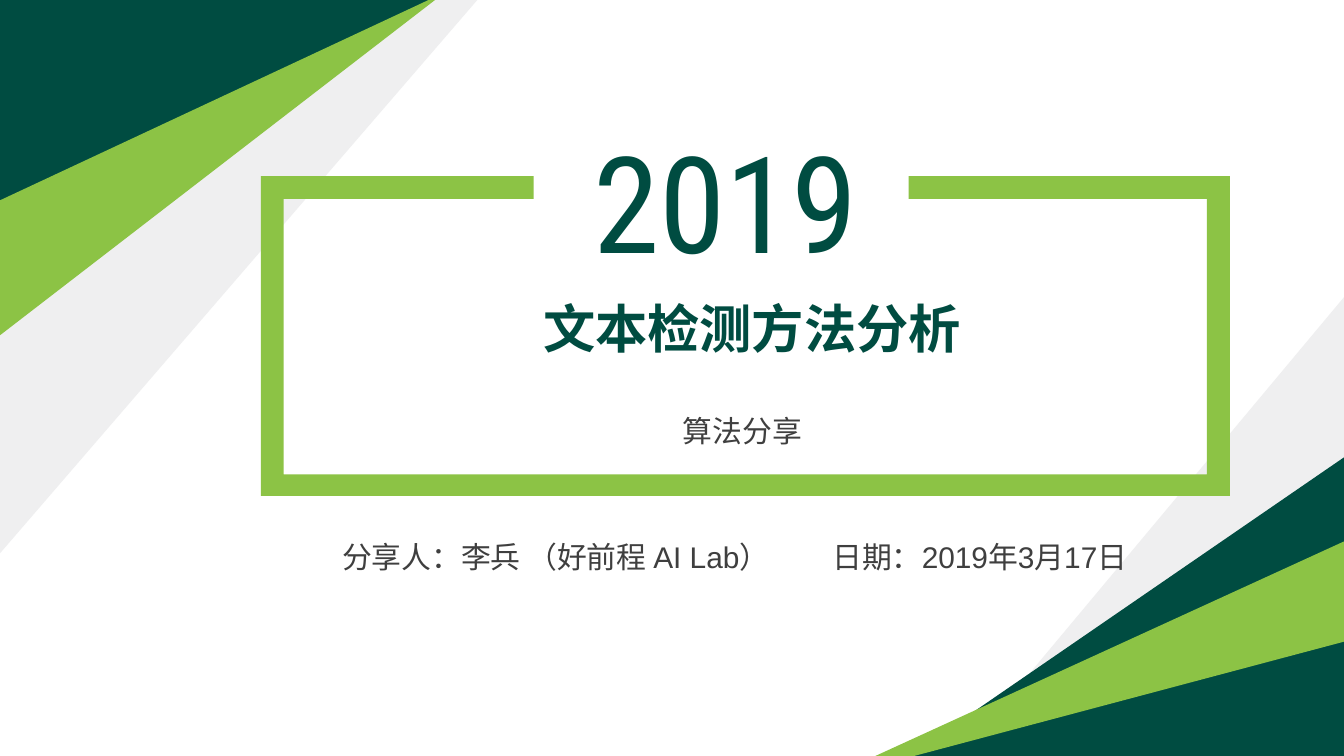
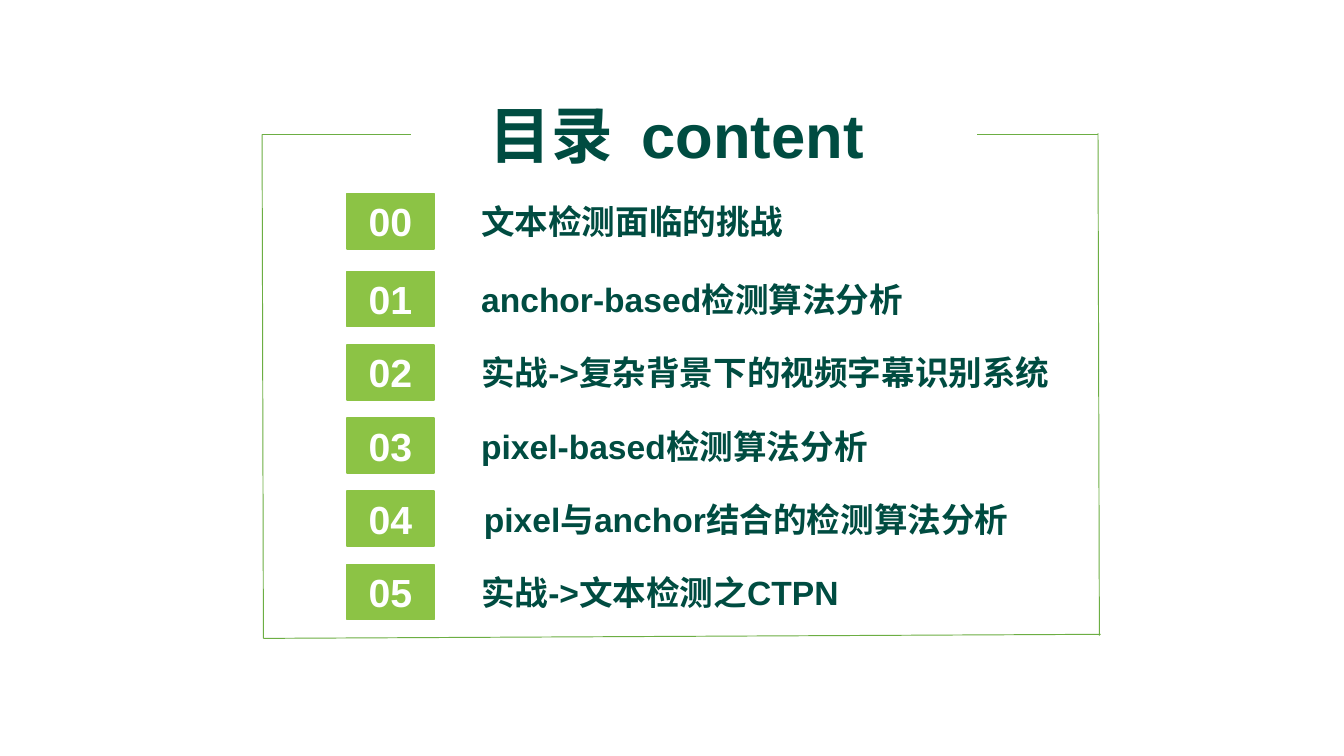
from lxml.etree import SubElement
from pptx import Presentation
from pptx.dml.color import RGBColor
from pptx.enum.shapes import MSO_CONNECTOR, MSO_SHAPE
from pptx.enum.text import MSO_ANCHOR, MSO_AUTO_SIZE, PP_ALIGN
from pptx.oxml.ns import qn
from pptx.util import Inches, Pt

SLIDE_WIDTH = 10
SLIDE_HEIGHT = SLIDE_WIDTH * 9 / 16

DARK_GREEN = RGBColor(0x00, 0x4C, 0x41)
LIME = RGBColor(0x8C, 0xC3, 0x45)
LINE_GREEN = RGBColor(0x6C, 0xAE, 0x43)
PALE_GRAY = RGBColor(0xEF, 0xEF, 0xF0)
TEXT_GRAY = RGBColor(0x3F, 0x3F, 0x3F)
WHITE = RGBColor(0xFF, 0xFF, 0xFF)
BODY_FONT = "Arial"
YEAR_FONT = "Roboto Condensed"

TALK_TITLE = "文本检测方法分析"
YEAR = "2019"
SUBTITLE = "算法分享"
DETAILS = [
    ("分享人：李兵 （好前程 AI Lab）", (2.21, 3.96, 3.85, 0.37)),
    ("日期：2019年3月17日", (5.72, 3.96, 3.14, 0.37)),
]
COVER_BANDS = [
    (PALE_GRAY, [(3.16, -0.01), (3.56, -0.01), (-0.02, 4.14), (-0.02, 1.6)]),
    (DARK_GREEN, [(-0.01, -0.03), (2.9, -0.03), (3.24, -0.02), (-0.01, 1.87)]),
    (LIME, [(3.21, -0.01), (3.25, -0.01), (-0.02, 2.51), (-0.02, 1.5)]),
    (PALE_GRAY, [(10.01, 2.2), (10.02, 2.34), (10.02, 4.99), (7.62, 5.06)]),
    (DARK_GREEN, [(10.02, 3.39), (10.02, 5.65), (7.27, 5.65), (6.76, 5.63)]),
    (LIME, [(10.02, 4.02), (10.02, 4.77), (6.71, 5.65), (6.46, 5.65)]),
]
COVER_FRAME = [
    (1.94, 1.31), (3.97, 1.31), (3.97, 1.48), (2.11, 1.48),
    (2.11, 3.53), (8.98, 3.53), (8.98, 1.48), (6.76, 1.48),
    (6.76, 1.31), (9.15, 1.31), (9.15, 3.69), (1.94, 3.69),
]

CONTENTS_TITLE = ("目录", "content")
TITLE_GAP = 800
CHAPTERS = [
    ("文本检测面临的挑战", 3.58, 3.38),
    ("anchor-based检测算法分析", 3.58, 3.38),
    ("实战->复杂背景下的视频字幕识别系统", 3.58, 4.25),
    ("pixel-based检测算法分析", 3.58, 3.38),
    ("pixel与anchor结合的检测算法分析", 3.6, 4.05),
    ("实战->文本检测之CTPN", 3.58, 3.38),
]
CONTENTS_LINES = [
    ((1.95, 1), (1.96, 4.75)),
    ((1.96, 4.75), (8.19, 4.72)),
    ((1.95, 1), (3.06, 1)),
    ((7.27, 1), (8.17, 1)),
    ((8.17, 0.99), (8.18, 4.73)),
]
FIRST_ROW, SECOND_ROW, LAST_ROW = 1.44, 2.02, 4.2
ROW_PITCH = (LAST_ROW - SECOND_ROW) / (len(CHAPTERS) - 2)
BADGE_LEFT, BADGE_WIDTH, BADGE_HEIGHT = 2.58, 0.65, 0.41
CHAPTER_HEIGHT = 0.38
CHAPTER_INSET = (BADGE_HEIGHT - CHAPTER_HEIGHT) / 2


def place(holder, box):
    holder.left, holder.top, holder.width, holder.height = map(Inches, box)


def write(holder, texts, size, color, bold=False, font=BODY_FONT,
          align=PP_ALIGN.CENTER, anchor=MSO_ANCHOR.MIDDLE,
          insets=(0.1, 0.05), wrap=True):
    frame = holder.text_frame
    frame.auto_size = MSO_AUTO_SIZE.NONE
    frame.word_wrap = wrap
    frame.vertical_anchor = anchor
    frame.margin_left = frame.margin_right = Inches(insets[0])
    frame.margin_top = frame.margin_bottom = Inches(insets[1])
    paragraph = frame.paragraphs[0]
    paragraph.alignment = align
    paragraph.space_before = Pt(0)
    for text in texts:
        run = paragraph.add_run()
        run.text = text
        run.font.size = Pt(size)
        run.font.name = font
        run.font.bold = bold
        run.font.color.rgb = color
    return paragraph


def add_text(slide, box, texts, size, color, **style):
    return write(slide.shapes.add_textbox(*map(Inches, box)),
                 texts, size, color, **style)


def add_title(slide, box, texts, size):
    place(slide.shapes.title, box)
    return write(slide.shapes.title, texts, size, DARK_GREEN, bold=True)


def add_polygon(slide, points, color):
    corners = [(Inches(x), Inches(y)) for x, y in points]
    builder = slide.shapes.build_freeform(*corners[0])
    builder.add_line_segments(corners[1:], close=True)
    polygon = builder.convert_to_shape()
    polygon.shadow.inherit = False
    polygon.fill.solid()
    polygon.fill.fore_color.rgb = color
    polygon.line.fill.background()


def add_frame_line(slide, start, end):
    line = slide.shapes.add_connector(
        MSO_CONNECTOR.STRAIGHT, *map(Inches, start + end))
    line.line.color.rgb = LINE_GREEN
    line.line.width = Pt(0.5)
    SubElement(line._element.spPr, qn("a:effectLst"))


def add_badge(slide, top, number):
    badge = slide.shapes.add_shape(
        MSO_SHAPE.RECTANGLE,
        *map(Inches, (BADGE_LEFT, top, BADGE_WIDTH, BADGE_HEIGHT)))
    badge.shadow.inherit = False
    badge.fill.solid()
    badge.fill.fore_color.rgb = LIME
    badge.line.color.rgb = LIME
    badge.line.width = Pt(1)
    write(badge, [f"{number:02}"], 21, WHITE, bold=True, insets=(0, 0))


def build_cover(deck):
    slide = deck.slides.add_slide(deck.slide_layouts[0])
    for color, points in COVER_BANDS:
        add_polygon(slide, points, color)
    add_title(slide, (2.04, 1.91, 7.11, 1.05), [TALK_TITLE], 28)
    add_text(slide, (4, 1.1, 2.8, 0.77), [YEAR], 72, DARK_GREEN, font=YEAR_FONT)
    subtitle = slide.placeholders[1]
    place(subtitle, (4.98, 3.02, 1.09, 0.37))
    write(subtitle, [SUBTITLE], 16, TEXT_GRAY, anchor=MSO_ANCHOR.TOP, wrap=False)
    for detail, box in DETAILS:
        add_text(slide, box, [detail], 16, TEXT_GRAY, anchor=MSO_ANCHOR.TOP)
    add_polygon(slide, COVER_FRAME, LIME)


def build_contents(deck):
    slide = deck.slides.add_slide(deck.slide_layouts[5])
    for start, end in CONTENTS_LINES:
        add_frame_line(slide, start, end)
    chinese, english = CONTENTS_TITLE
    heading = add_title(slide, (3.45, 0.67, 3.17, 0.66),
                        [chinese, " ", english], 33)
    heading.runs[1]._r.get_or_add_rPr().set("spc", str(TITLE_GAP))
    for number, (chapter, left, width) in enumerate(CHAPTERS):
        top = SECOND_ROW + (number - 1) * ROW_PITCH if number else FIRST_ROW
        add_badge(slide, top, number)
        add_text(slide, (left, top + CHAPTER_INSET, width, CHAPTER_HEIGHT),
                 [chapter], 18, DARK_GREEN, bold=True,
                 align=PP_ALIGN.JUSTIFY, insets=(0, 0))


def main():
    deck = Presentation()
    deck.slide_width = Inches(SLIDE_WIDTH)
    deck.slide_height = Inches(SLIDE_HEIGHT)
    build_cover(deck)
    build_contents(deck)
    deck.save("out.pptx")


if __name__ == "__main__":
    main()
